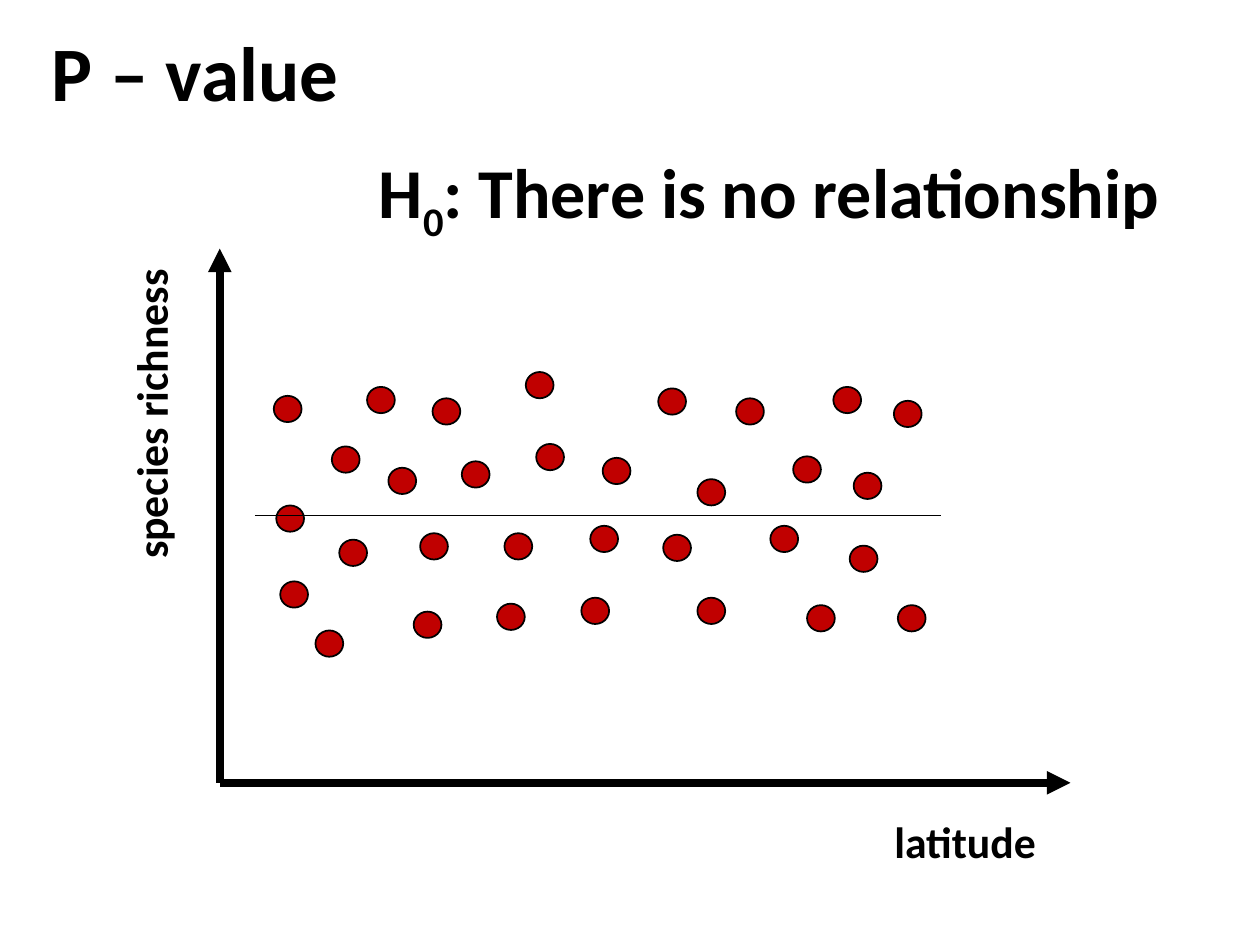
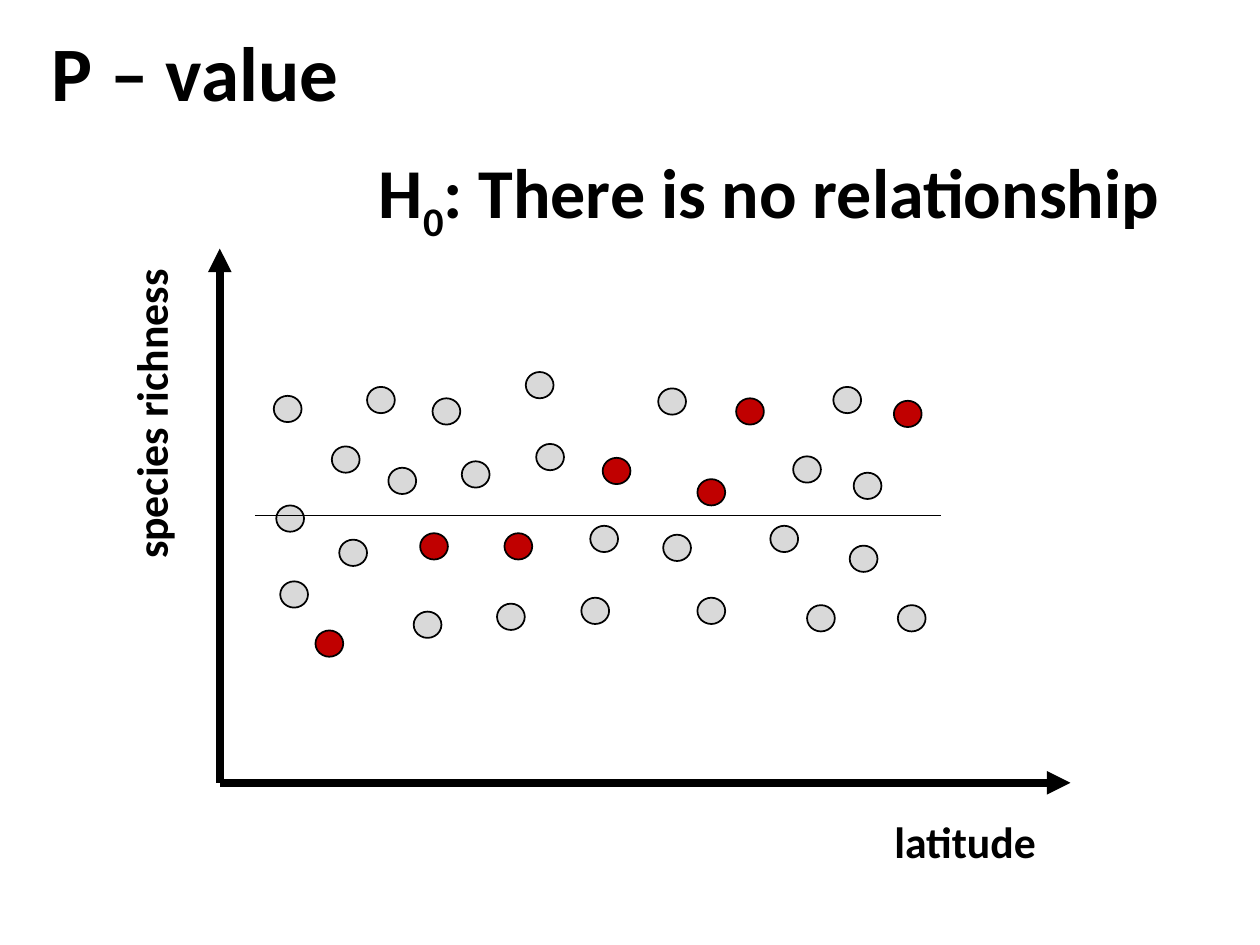
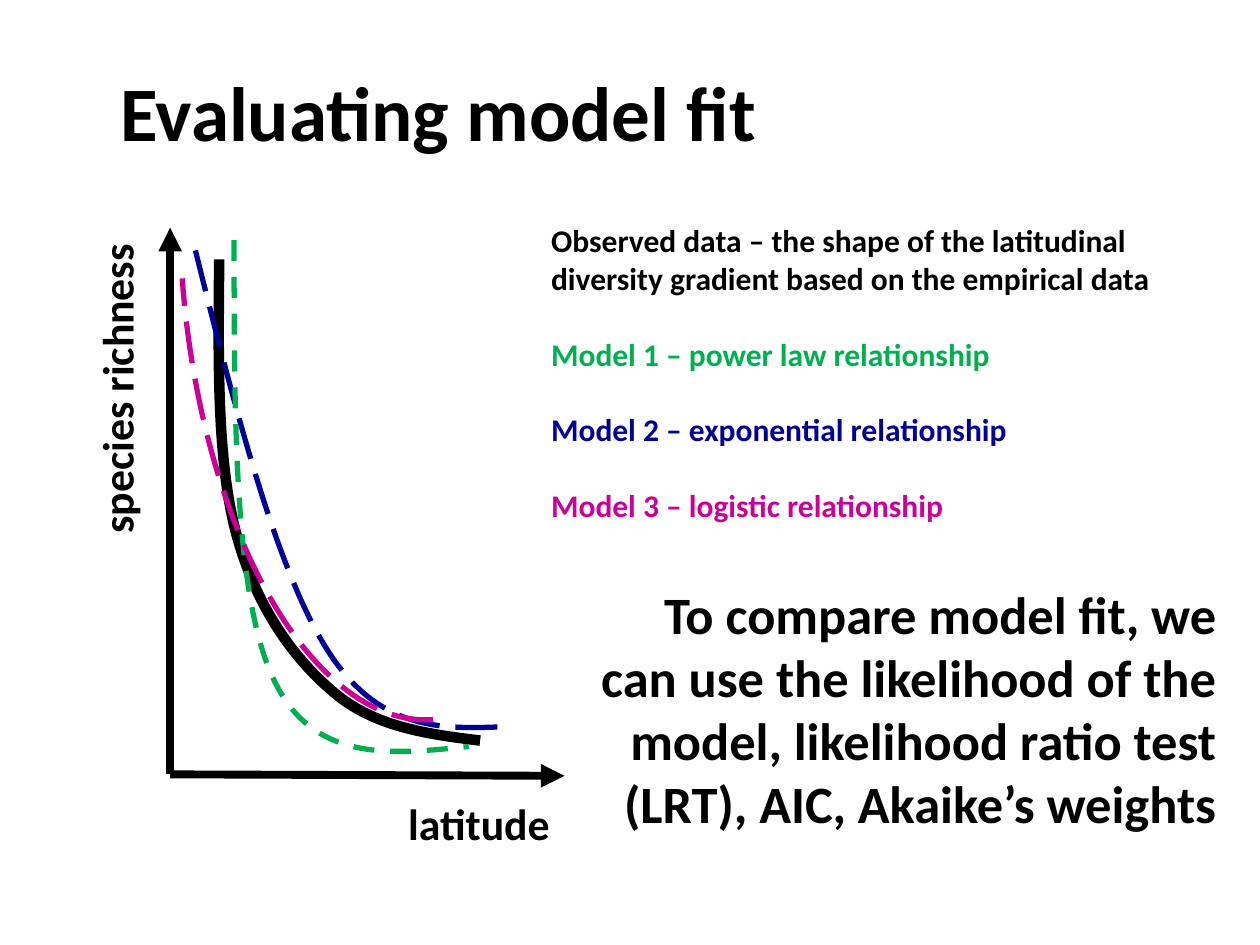
from collections import namedtuple
from dataclasses import dataclass

from lxml import etree
from pptx import Presentation
from pptx.dml.color import RGBColor
from pptx.enum import dml, shapes, text
from pptx.oxml import ns
from pptx.util import Cm, Pt


@dataclass(frozen=True)
class Theme:
    font: str = "Calibri"
    ink: str = "000000"
    red: str = "C00000"
    grey: str = "D9D9D9"
    green: str = "00B050"
    blue: str = "000099"
    magenta: str = "CC0099"
    title: float = 44
    hypothesis: float = 40
    statement: float = 30
    axis_label: float = 25
    legend: float = 18
    axis_line: float = 4.5
    observed_line: float = 6
    model_line: float = 3
    dot_line: float = 1
    null_line: float = 0.5


THEME = Theme()
DASH = dml.MSO_LINE.DASH
LONG_DASH = dml.MSO_LINE.LONG_DASH

# All lengths are centimetres; dots and curves are relative to their plot's box
Box = namedtuple("Box", "left top width height")

SCATTER_PLOT = Box(4.43, 5.01, 17.15, 10.77)
DOT_WIDTH, DOT_HEIGHT = 0.56, 0.53
SAMPLED_DOTS = [
    (1.93, 7.7), (5.74, 5.74), (7.72, 4.22), (9.63, 4.65),
    (10.41, 3.02), (4.04, 5.74), (13.59, 3.07),
]
OTHER_DOTS = [
    (2.97, 2.79), (11.1, 5.59), (3.91, 7.32), (12.37, 2.79), (4.29, 3.02),
    (13.67, 7.19), (8.94, 5.77), (7.29, 7.04), (9.63, 7.04), (2.41, 5.87),
    (4.88, 4.29), (6.38, 3.94), (6.17, 2.49), (8.84, 2.82), (11.84, 7.19),
    (5.59, 7.16), (7.47, 5.59), (11.56, 4.19), (3.4, 4.42), (2.26, 3.99),
    (1.09, 2.97), (1.14, 5.18), (1.22, 6.71), (12.78, 4.52), (12.7, 5.99),
]

MODEL_PLOT = Box(3.43, 4.59, 7.95, 11.02)
# Bezier points: a start, then two controls and an end for each segment
OBSERVED = [
    (0.99, 0.64), (0.97, 2.64), (0.94, 4.65), (1.32, 6.12), (1.7, 7.57),
    (2.44, 8.64), (3.28, 9.35), (4.09, 10.06), (5.18, 10.21), (6.25, 10.34),
]
EXPONENTIAL = [
    (0.51, 0.46), (1.32, 3.71), (2.16, 6.96), (3.2, 8.56),
    (4.24, 10.16), (5.49, 10.11), (6.76, 10.06),
]
POWER_LAW = [
    (1.29, 0.25), (1.29, 3.84), (1.29, 7.42), (2.08, 9.09),
    (2.87, 10.8), (4.45, 10.62), (6.02, 10.46),
]
LEGEND = [
    ("Observed data – the shape of the latitudinal diversity gradient "
     "based on the empirical data", THEME.ink),
    ("Model 1 – power law relationship", THEME.green),
    ("Model 2 – exponential relationship", THEME.blue),
    ("Model 3 – logistic relationship", THEME.magenta),
]


# Text helpers
def add_span(para, words, size, colour=THEME.ink, baseline=0):
    span = para.add_run()
    span.text = words
    span.font.name = THEME.font
    span.font.size = Pt(size)
    span.font.bold = True
    span.font.color.rgb = RGBColor.from_string(colour)
    if baseline:
        span.font._element.set("baseline", str(baseline * 1000))


def add_text_box(page, box, wrap=False):
    shape = page.shapes.add_textbox(*map(Cm, box))
    shape.text_frame.word_wrap = wrap
    return shape


def add_title(page, box, words):
    title = page.shapes.title
    title.left, title.top, title.width, title.height = map(Cm, box)
    frame = title.text_frame
    frame.auto_size = text.MSO_AUTO_SIZE.NONE
    frame.vertical_anchor = text.MSO_ANCHOR.MIDDLE
    para = frame.paragraphs[0]
    para.alignment = text.PP_ALIGN.LEFT
    para.line_spacing = 0.9
    add_span(para, words, THEME.title)


# Line helpers
def style_line(line, width, colour=THEME.ink, dash=None):
    line.color.rgb = RGBColor.from_string(colour)
    line.width = Pt(width)
    if dash:
        line.dash_style = dash


def add_line(page, start, end, width, arrow=False):
    line = page.shapes.add_connector(
        shapes.MSO_CONNECTOR.STRAIGHT, *map(Cm, (*start, *end)))
    style_line(line.line, width)
    if arrow:
        etree.SubElement(line.line._get_or_add_ln(), ns.qn("a:tailEnd"), type="triangle")
    etree.SubElement(line._element.spPr, ns.qn("a:effectLst"))


def add_curve(page, plot, points, width, colour, dash=None):
    corners = [(Cm(plot.left + x), Cm(plot.top + y)) for x, y in points]
    builder = page.shapes.build_freeform(*corners[0])
    builder.add_line_segments(corners[1:], close=False)
    curve = builder.convert_to_shape()

    # Join every three straight steps into one Bezier segment
    steps = list(curve._element.iter(ns.qn("a:lnTo")))
    outline = steps[0].getparent()
    for first in range(0, len(steps), 3):
        segment = etree.SubElement(outline, ns.qn("a:cubicBezTo"))
        for step in steps[first:first + 3]:
            segment.append(step[0])
            outline.remove(step)

    curve.shadow.inherit = False
    curve.fill.background()
    style_line(curve.line, width, colour, dash)


# Plot regions
def add_axes(page, plot, y_label_centre, x_label_inset, x_label_gap, x_axis_drop=0):
    bottom, right = plot.top + plot.height, plot.left + plot.width
    for end in ((plot.left, plot.top), (right, bottom + x_axis_drop)):
        add_line(page, (plot.left, bottom), end, THEME.axis_line, arrow=True)

    width, height = 6.43, 1.32
    centre_x, centre_y = y_label_centre
    y_label = add_text_box(page, Box(plot.left + centre_x - width / 2,
                                     plot.top + centre_y - height / 2, width, height))
    y_label.rotation = 270
    add_span(y_label.text_frame.paragraphs[0], "species richness", THEME.axis_label)

    width = 3.4
    x_label = add_text_box(page, Box(right - x_label_inset - width,
                                     bottom + x_label_gap, width, height))
    add_span(x_label.text_frame.paragraphs[0], "latitude", THEME.axis_label)


def add_dots(page, plot, dots, colour):
    for x, y in dots:
        dot = page.shapes.add_shape(
            shapes.MSO_SHAPE.OVAL,
            *map(Cm, (plot.left + x, plot.top + y, DOT_WIDTH, DOT_HEIGHT)))
        dot.shadow.inherit = False
        dot.fill.solid()
        dot.fill.fore_color.rgb = RGBColor.from_string(colour)
        style_line(dot.line, THEME.dot_line)


def add_logistic_arc(page, plot):
    arc = page.shapes.add_shape(
        shapes.MSO_SHAPE.ARC, *map(Cm, (plot.left + 0.23, plot.top - 8.55, 8.79, 18.49)))
    arc.adjustments[0] = 162
    arc.adjustments[1] = 215.96
    arc.rotation = 175.8
    arc.shadow.inherit = False
    arc.fill.background()
    style_line(arc.line, THEME.model_line, THEME.magenta, LONG_DASH)


def add_legend(page, box):
    frame = add_text_box(page, box, wrap=True).text_frame
    for index, (words, colour) in enumerate(LEGEND):
        para = frame.add_paragraph() if index else frame.paragraphs[0]
        if index:
            para.space_before = Pt(21.6)
        add_span(para, words, THEME.legend, colour)


# Slide types
def add_p_value_slide(deck, other_colour):
    page = deck.slides.add_slide(deck.slide_layouts[5])
    add_title(page, Box(0.79, -0.3, 6.4, 3.68), "P – value")
    plot = SCATTER_PLOT
    add_axes(page, plot, (-1.39, 3.29), 0.4, 0.52)
    add_dots(page, plot, OTHER_DOTS, other_colour)
    add_dots(page, plot, SAMPLED_DOTS, THEME.red)
    level = plot.top + 5.38
    add_line(page, (plot.left + 0.71, level), (plot.left + 14.54, level), THEME.null_line)

    hypothesis = add_text_box(page, Box(7.39, 2.87, 16.51, 1.96))
    para = hypothesis.text_frame.paragraphs[0]
    for words, baseline in (("H", 0), ("0", -25), (": There is no relationship", 0)):
        add_span(para, words, THEME.hypothesis, baseline=baseline)


def add_model_fit_slide(deck):
    page = deck.slides.add_slide(deck.slide_layouts[5])
    add_title(page, Box(2.17, 0.51, 21.89, 3.68), "Evaluating model fit")
    plot = MODEL_PLOT
    add_axes(page, plot, (-1.08, 3.2), 0, 0.33, x_axis_drop=0.03)
    add_curve(page, plot, OBSERVED, THEME.observed_line, THEME.ink)
    add_curve(page, plot, EXPONENTIAL, THEME.model_line, THEME.blue, LONG_DASH)
    add_curve(page, plot, POWER_LAW, THEME.model_line, THEME.green, DASH)
    add_logistic_arc(page, plot)
    add_legend(page, Box(10.86, 4.34, 13, 6.4))

    statement = add_text_box(page, Box(11.48, 11.6, 13.3, 5.38), wrap=True)
    para = statement.text_frame.paragraphs[0]
    para.alignment = text.PP_ALIGN.RIGHT
    add_span(para, "To compare model fit, we can use the likelihood of the model, "
             "likelihood ratio test (LRT), AIC, Akaike’s weights", THEME.statement)


def main():
    deck = Presentation()
    deck.slide_width, deck.slide_height = Cm(25.4), Cm(19.05)
    for other_colour in (THEME.red, THEME.grey):
        add_p_value_slide(deck, other_colour)
    add_model_fit_slide(deck)
    deck.save("out.pptx")


if __name__ == "__main__":
    main()
